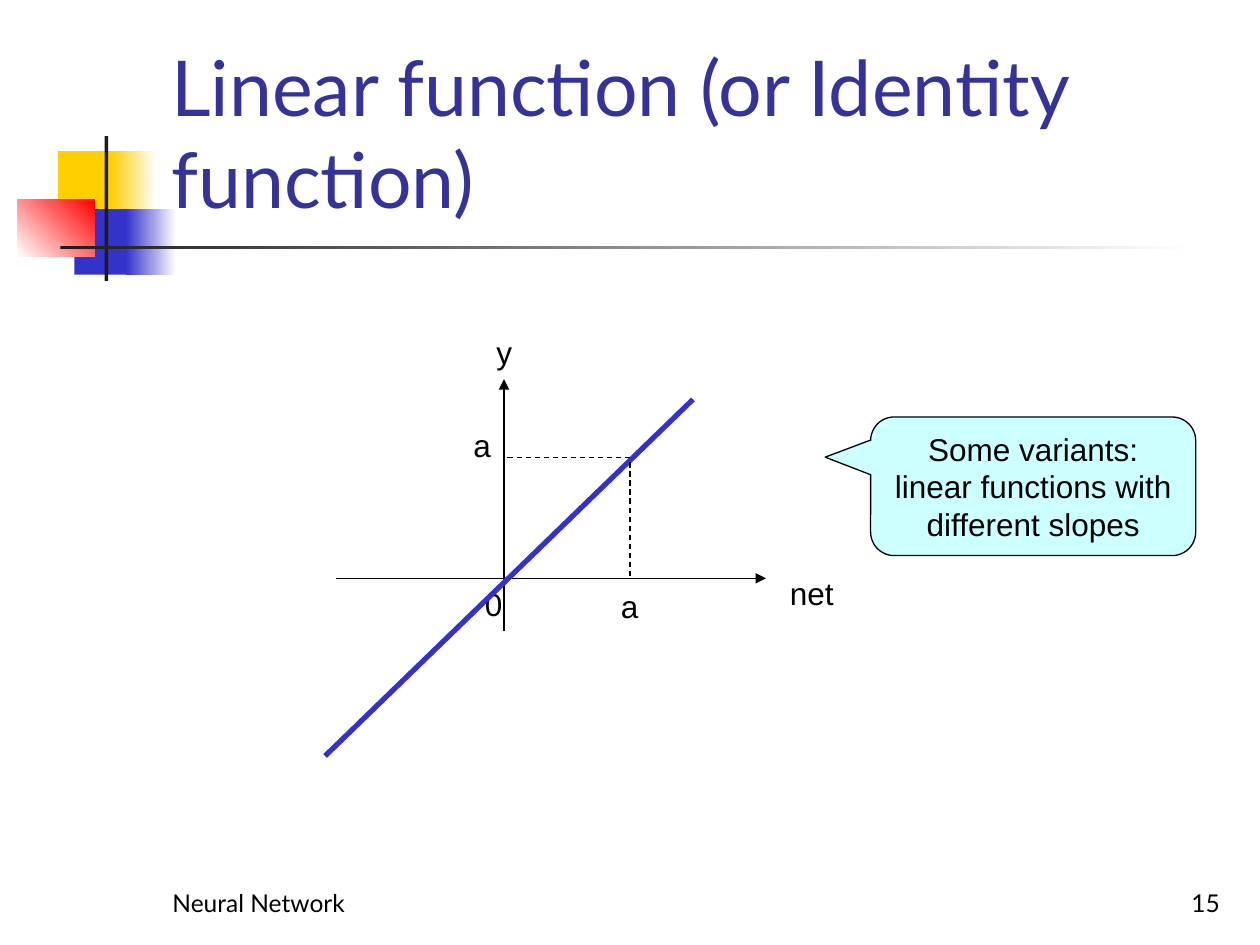
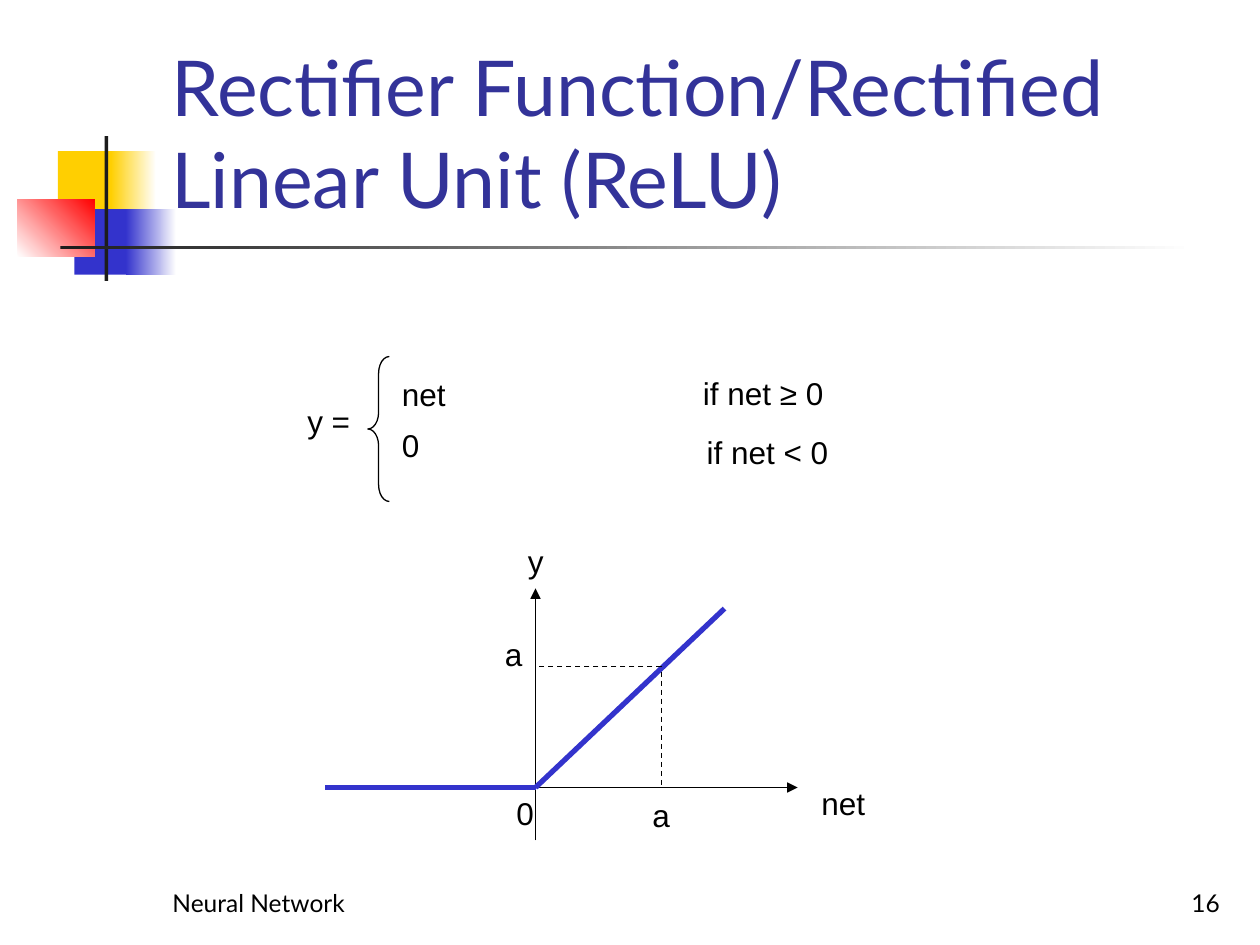
from lxml import etree
from pptx import Presentation
from pptx.dml.color import RGBColor
from pptx.enum.dml import MSO_LINE_DASH_STYLE as Dash
from pptx.enum.shapes import MSO_CONNECTOR as Connector, MSO_SHAPE as Shape
from pptx.enum.text import MSO_ANCHOR as Anchor, MSO_AUTO_SIZE as AutoSize, PP_ALIGN as Align
from pptx.oxml.ns import qn
from pptx.util import Inches, Pt

COLORS = {
    "title": "333399",
    "text": "000000",
    "blue": "3333CC",
    "yellow": "FFCF01",
    "red": "FF0000",
    "bar": "1C1C1C",
    "white": "FFFFFF",
    "callout": "CCFFFF",
}
RGB = {name: RGBColor.from_string(value) for name, value in COLORS.items()}


def write(shape, text, size=18, font="Arial", color="text", align=Align.LEFT,
          anchor=Anchor.TOP, wrap=True, fit=AutoSize.NONE):
    frame = shape.text_frame
    frame.word_wrap = wrap
    frame.auto_size = fit
    frame.vertical_anchor = anchor
    para = frame.paragraphs[0]
    para.alignment = align
    span = para.add_run()
    span.text = text
    span.font.size = Pt(size)
    span.font.name = font
    span.font.color.rgb = RGB[color]


def draw_line(page, start, end, color="text", width=0.75, dashed=False, arrow=False):
    points = [Inches(value) for value in (*start, *end)]
    line = page.shapes.add_connector(Connector.STRAIGHT, *points)
    line.line.color.rgb = RGB[color]
    line.line.width = Pt(width)
    if dashed:
        line.line.dash_style = Dash.DASH
    properties = line.element.spPr
    if arrow:
        etree.SubElement(properties.find(qn("a:ln")), qn("a:tailEnd"), type="triangle")
    etree.SubElement(properties, qn("a:effectLst"))


deck = Presentation()
deck.slide_width = Inches(10)
deck.slide_height = Inches(7.5)
layout = deck.slide_layouts[5]

titles = [
    "Linear function (or Identity function)",
    "Rectifier Function/Rectified Linear Unit (ReLU)",
]
pages = [deck.slides.add_slide(layout) for title in titles]
linear_page, relu_page = pages

emblem = [
    (0.46, 1.2, 0.48, 0.52, ["yellow"], 0),
    (0.88, 1.2, 0.36, 0.52, ["yellow", "white"], 0),
    (0.59, 1.66, 0.46, 0.52, ["blue"], 0),
    (1, 1.66, 0.4, 0.52, ["blue", "white"], 0),
    (0.14, 1.58, 0.61, 0.46, ["white", "red"], 45),
    (0.83, 1.08, 0.03, 1.15, ["bar"], 0),
    (0.48, 1.95, 9, 0.03, ["bar", "white"], 0),
]
for left, top, width, height, shades, angle in emblem:
    block = linear_page.shapes.add_shape(
        Shape.RECTANGLE, Inches(left), Inches(top), Inches(width), Inches(height))
    block.shadow.inherit = False
    block.line.fill.background()
    if len(shades) == 1:
        block.fill.solid()
        block.fill.fore_color.rgb = RGB[shades[0]]
    else:
        block.fill.gradient()
        block.fill.gradient_angle = angle
        for position, (stop, shade) in enumerate(zip(block.fill.gradient_stops, shades)):
            stop.position = position
            stop.color.rgb = RGB[shade]
    layout.shapes.element.append(block.element)

for number, (page, title) in enumerate(zip(pages, titles), start=15):
    heading = page.shapes.title
    heading.left, heading.top = Inches(1.26), Inches(0.23)
    heading.width, heading.height = Inches(8.52), Inches(1.6)
    write(heading, title, 44, "Lato", "title", anchor=Anchor.BOTTOM)
    for left, text, align in [(1.27, "Neural Network", Align.LEFT),
                              (7.7, str(number), Align.RIGHT)]:
        footer = page.shapes.add_textbox(
            Inches(left), Inches(6.83), Inches(2.08), Inches(0.5))
        write(footer, text, 14, "Lato", align=align, anchor=Anchor.BOTTOM)

axes = [((-1.33, 0), (2.08, 0)), ((0, 0.42), (0, -1.58))]
guides = [((1, -0.92), (1, 0)), ((1, -0.96), (0.02, -0.96))]
axis_labels = [
    ("0", -0.25, 0, 0.34),
    ("net", 2.17, -0.08, 0.55),
    ("y", -0.16, -2, 0.32),
    ("a", 0.83, 0.02, 0.34),
    ("a", -0.34, -1.26, 0.34),
]
linear_curve = [((1.5, -1.42), (-1.42, 1.41))]
relu_curve = [((-1.67, 0), (0, 0)), ((1.5, -1.42), (0, 0))]
formula = [
    ("y =", 2.34, 3.14, 0.61),
    ("net", 3.09, 2.93, 0.68),
    ("0", 3.09, 3.33, 0.41),
    ("if net ≥ 0", 5.48, 2.92, 1.48),
    ("if net < 0", 5.51, 3.39, 1.43),
]

for page, origin_x, origin_y, curve, extra_labels in [
    (linear_page, 4, 4.59, linear_curve, []),
    (relu_page, 4.25, 6.25, relu_curve, formula),
]:
    plot_labels = [(text, origin_x + x, origin_y + y, width)
                   for text, x, y, width in axis_labels]
    for text, left, top, width in plot_labels + extra_labels:
        box = page.shapes.add_textbox(
            Inches(left), Inches(top), Inches(width), Inches(0.4))
        write(box, text, wrap=False, fit=AutoSize.SHAPE_TO_FIT_TEXT)
    for segments, style in [
        (axes, {"arrow": True}),
        (curve, {"color": "blue", "width": 3}),
        (guides, {"dashed": True}),
    ]:
        for (x1, y1), (x2, y2) in segments:
            draw_line(page, (origin_x + x1, origin_y + y1),
                      (origin_x + x2, origin_y + y2), **style)

callout = linear_page.shapes.add_shape(
    Shape.ROUNDED_RECTANGULAR_CALLOUT, Inches(6.91), Inches(3.31), Inches(2.58), Inches(1.1))
callout.adjustments[0] = -0.64
callout.adjustments[1] = -0.21
callout.adjustments[2] = 0.17
callout.fill.solid()
callout.fill.fore_color.rgb = RGB["callout"]
write(callout, "Some variants: linear functions with different slopes",
      align=Align.CENTER, anchor=Anchor.MIDDLE)

brace = relu_page.shapes.add_shape(
    Shape.LEFT_BRACE, Inches(2.92), Inches(2.83), Inches(0.17), Inches(1.15))
brace.adjustments[0] = 0.78
brace.fill.background()

for outlined in (callout, brace):
    outlined.shadow.inherit = False
    outlined.line.color.rgb = RGB["text"]
    outlined.line.width = Pt(0.75)

deck.save("out.pptx")
